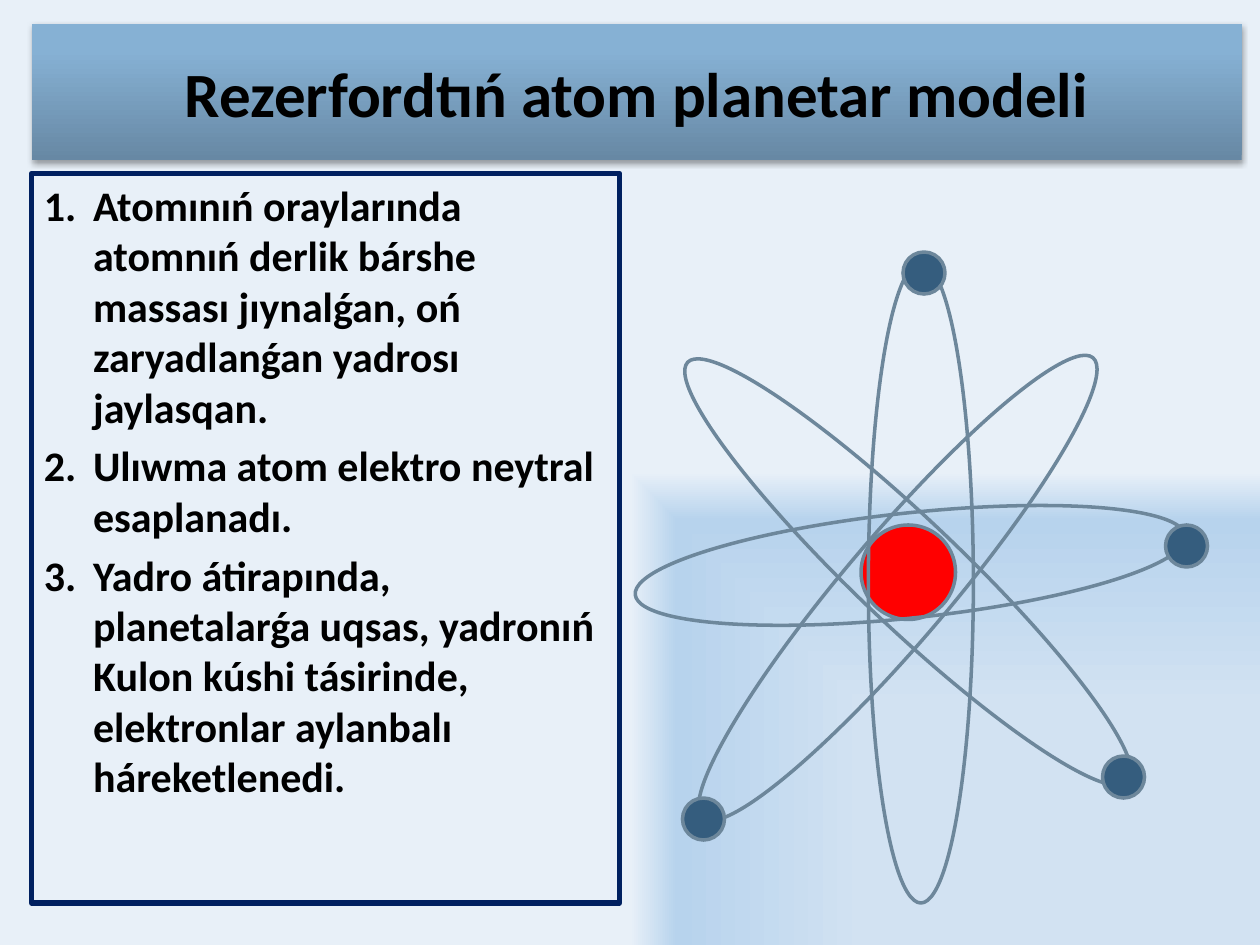
from pptx import Presentation
from pptx.dml.color import RGBColor
from pptx.enum.shapes import MSO_SHAPE as Shape
from pptx.enum.text import MSO_ANCHOR as Anchor, PP_ALIGN as Align
from pptx.oxml import parse_xml
from pptx.oxml.ns import nsdecls
from pptx.util import Inches, Pt

CELL = Inches(1 / 12)
COLUMNS, ROWS = 120, 90
ORBIT_WIDTH, ELECTRON_SIZE = 10, 4
SLATE, NAVY, STEEL, RED, BLACK = "6D879B", "002060", "355D7E", "FF0000", "000000"
TITLE = "Rezerfordtıń atom planetar modeli"
POSTULATES = [
    "Atomınıń oraylarında atomnıń derlik bárshe massası jıynalǵan, oń zaryadlanǵan yadrosı jaylasqan.",
    "Ulıwma atom elektro neytral esaplanadı.",
    "Yadro átirapında, planetalarǵa uqsas, yadronıń Kulon kúshi tásirinde, elektronlar aylanbalı háreketlenedi.",
]
ORBITS = [
    (80.5, 27.25, 57.5, 40.3),
    (81.5, 25.5, 58, 313.6),
    (82.7, 25, 61, 0),
    (81.7, 27.5, 52.7, 83.9),
]
ELECTRONS = [(86, 24), (65, 76), (105, 72), (111, 50)]
PAGE_STOPS = [(50, "D2E2F2"), (90, "B7D3ED"), (100, "E8F0F8")]
PAGE_PATH = '<a:path path="rect"><a:fillToRect l="100000" t="100000"/></a:path>'
TITLE_STOPS = [(0, "6788A4"), (80, "86B1D4"), (100, "86B2D7")]
TITLE_PATH = '<a:lin ang="16200000" scaled="0"/>'


def color(value):
    """Turn a hex string into a colour."""
    return RGBColor.from_string(value)


def cells(*counts):
    """Turn grid counts into lengths."""
    return [round(count * CELL) for count in counts]


def set_gradient(fill, element, stops, direction):
    """Fill the element with a gradient in place of a solid colour."""
    fill.solid()
    marks = "".join(
        f'<a:gs pos="{share * 1000}"><a:srgbClr val="{value}"/></a:gs>'
        for share, value in stops
    )
    gradient = parse_xml(
        f'<a:gradFill {nsdecls("a")} rotWithShape="1">'
        f"<a:gsLst>{marks}</a:gsLst>{direction}</a:gradFill>"
    )
    solid = element.xpath(".//a:solidFill")[0]
    solid.getparent().replace(solid, gradient)


def add_shadow(shape):
    """Cast a soft shadow below the shape."""
    shadow = parse_xml(
        f'<a:outerShdw {nsdecls("a")} blurRad="{Pt(3.1)}" dist="{Pt(1.8)}" dir="5400000" rotWithShape="0">'
        '<a:srgbClr val="000000"><a:alpha val="35000"/></a:srgbClr></a:outerShdw>'
    )
    shape.element.xpath("./p:spPr/a:effectLst")[0].append(shadow)


def add_figure(page, kind, place, fill=None, line=None, weight=2, turn=0):
    """Add a preset shape on the grid."""
    shape = page.shapes.add_shape(kind, *cells(*place))
    shape.shadow.inherit = False
    shape.rotation = turn
    if fill:
        shape.fill.solid()
        shape.fill.fore_color.rgb = color(fill)
    else:
        shape.fill.background()
    if line:
        shape.line.color.rgb = color(line)
        shape.line.width = Pt(weight)
    else:
        shape.line.fill.background()
    return shape


def write(para, text, size, align):
    """Put bold text into a paragraph."""
    para.alignment = align
    span = para.add_run()
    span.text = text
    span.font.color.rgb = color(BLACK)
    for name, value in {"name": "Calibri", "size": Pt(size), "bold": True}.items():
        setattr(span.font, name, value)


def number(para):
    """Give a paragraph an automatic number and a hanging indent."""
    properties = para._p.get_or_add_pPr()
    indent = Inches(0.39)
    properties.set("marL", str(indent))
    properties.set("indent", str(-indent))
    properties.append(parse_xml(f'<a:buAutoNum {nsdecls("a")} type="arabicPeriod"/>'))


def add_title(page):
    """Add the shaded title bar."""
    box = add_figure(page, Shape.RECTANGLE, (3, 2.25, 115.25, 13))
    set_gradient(box.fill, box.element.spPr, TITLE_STOPS, TITLE_PATH)
    add_shadow(box)
    box.text_frame.vertical_anchor = Anchor.MIDDLE
    write(box.text_frame.paragraphs[0], TITLE, 36, Align.CENTER)


def add_postulates(page):
    """Add the framed numbered list."""
    box = add_figure(page, Shape.RECTANGLE, (3, 16.5, 56, 69.5), line=NAVY, weight=3)
    frame = box.text_frame
    frame.word_wrap = True
    frame.vertical_anchor = Anchor.TOP
    for index, text in enumerate(POSTULATES):
        para = frame.add_paragraph() if index else frame.paragraphs[0]
        number(para)
        para.space_before = Pt(4.8 if index else 0)
        write(para, text, 24, Align.LEFT)


def add_atom(page):
    """Add the nucleus, the orbits and the electrons."""
    add_figure(page, Shape.OVAL, (82, 50, 9, 9), RED, SLATE)
    for left, top, length, turn in ORBITS:
        add_figure(page, Shape.OVAL, (left, top, ORBIT_WIDTH, length), line=SLATE, turn=turn)
    for left, top in ELECTRONS:
        add_figure(page, Shape.OVAL, (left, top, ELECTRON_SIZE, ELECTRON_SIZE), STEEL, SLATE)


def main():
    """Build and save the slide."""
    deck = Presentation()
    deck.slide_width, deck.slide_height = cells(COLUMNS, ROWS)
    page = deck.slides.add_slide(deck.slide_layouts[6])
    set_gradient(page.background.fill, page.element, PAGE_STOPS, PAGE_PATH)
    add_title(page)
    add_postulates(page)
    add_atom(page)
    deck.save("out.pptx")


if __name__ == "__main__":
    main()
